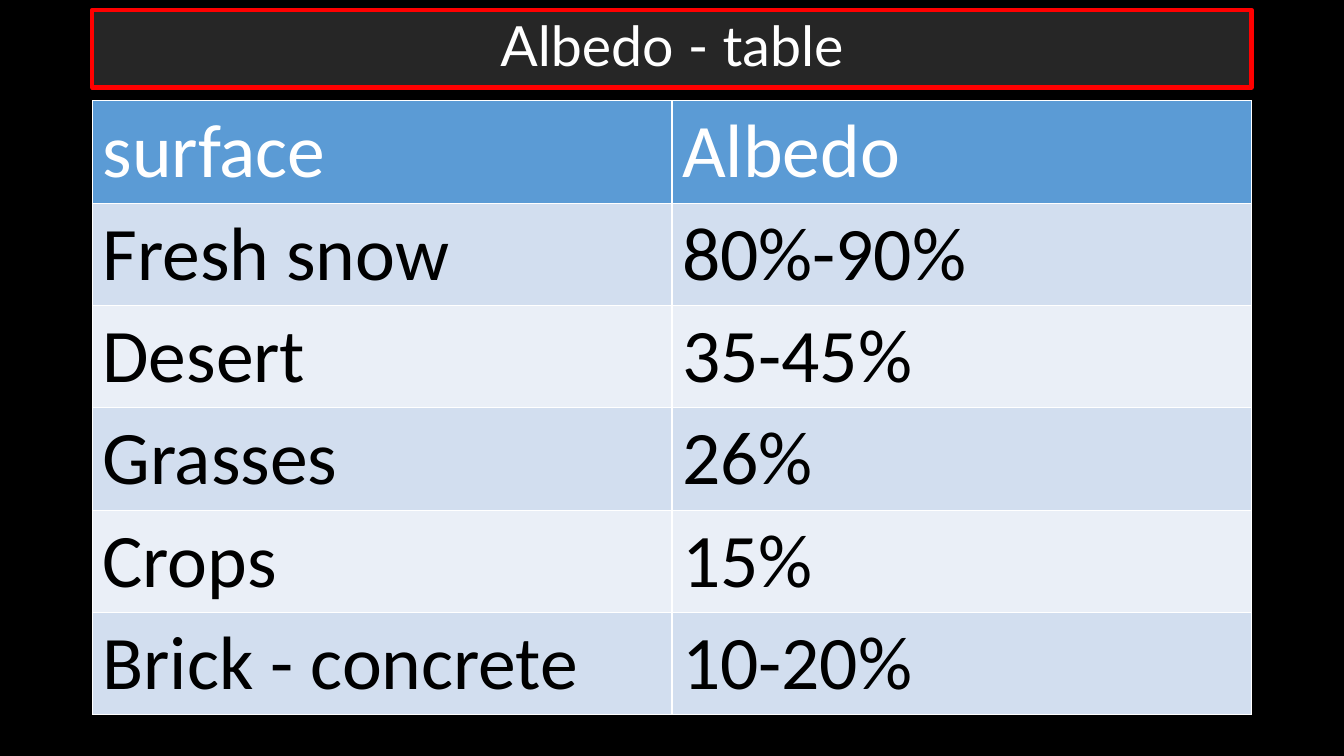
from pptx import Presentation
from pptx.dml.color import RGBColor
from pptx.enum import text
from pptx.util import Pt

ROWS = [
    ("surface", "Albedo"),
    ("Fresh snow", "80%-90%"),
    ("Desert", "35-45%"),
    ("Grasses", "26%"),
    ("Crops", "15%"),
    ("Brick - concrete", "10-20%"),
]


def set_fill(target, color):
    target.fill.solid()
    target.fill.fore_color.rgb = RGBColor.from_string(color)


def write(tf, value, *, font, size, color, align=None, spacing=None):
    p = tf.paragraphs[0]
    p.alignment = align
    p.line_spacing = spacing
    r = p.add_run()
    r.text = value
    r.font.name = font
    r.font.size = Pt(size)
    r.font.bold = False
    r.font.color.rgb = RGBColor.from_string(color)


class AlbedoSlide:
    LEFT, WIDTH = 66, 828
    WHITE, BLACK = "FFFFFF", "000000"
    HEADER, BANDS = "5B9BD5", ("D2DEEF", "EAEFF7")

    def __init__(self, prs):
        self.s = prs.slides.add_slide(prs.slide_layouts[5])
        set_fill(self.s.background, self.BLACK)

    def title(self, value, top, height):
        sp = self.s.shapes.title
        sp.left, sp.top = Pt(self.LEFT), Pt(top)
        sp.width, sp.height = Pt(self.WIDTH), Pt(height)
        set_fill(sp, "262626")
        sp.line.color.rgb = RGBColor.from_string("FF0000")
        sp.line.width = Pt(3)
        tf = sp.text_frame
        tf.auto_size = text.MSO_AUTO_SIZE.NONE
        tf.vertical_anchor = text.MSO_ANCHOR.MIDDLE
        write(tf, value, font="Lato", size=39.6, color=self.WHITE,
              align=text.PP_ALIGN.CENTER, spacing=0.9)

    def table(self, rows, top, row_height):
        frame = self.s.shapes.add_table(
            len(rows), len(rows[0]), Pt(self.LEFT), Pt(top),
            Pt(self.WIDTH), Pt(row_height * len(rows)))
        for i, row in enumerate(rows):
            fill = self.BANDS[(i - 1) % 2] if i else self.HEADER
            color = self.BLACK if i else self.WHITE
            for j, value in enumerate(row):
                cell = frame.table.cell(i, j)
                set_fill(cell, fill)
                write(cell.text_frame, value, font="Calibri", size=54, color=color)


def main():
    prs = Presentation()
    prs.slide_width, prs.slide_height = Pt(960), Pt(540)
    slide = AlbedoSlide(prs)
    slide.title("Albedo - table", top=7, height=55.5)
    slide.table(ROWS, top=72, row_height=73.1)
    prs.save("out.pptx")


if __name__ == "__main__":
    main()
